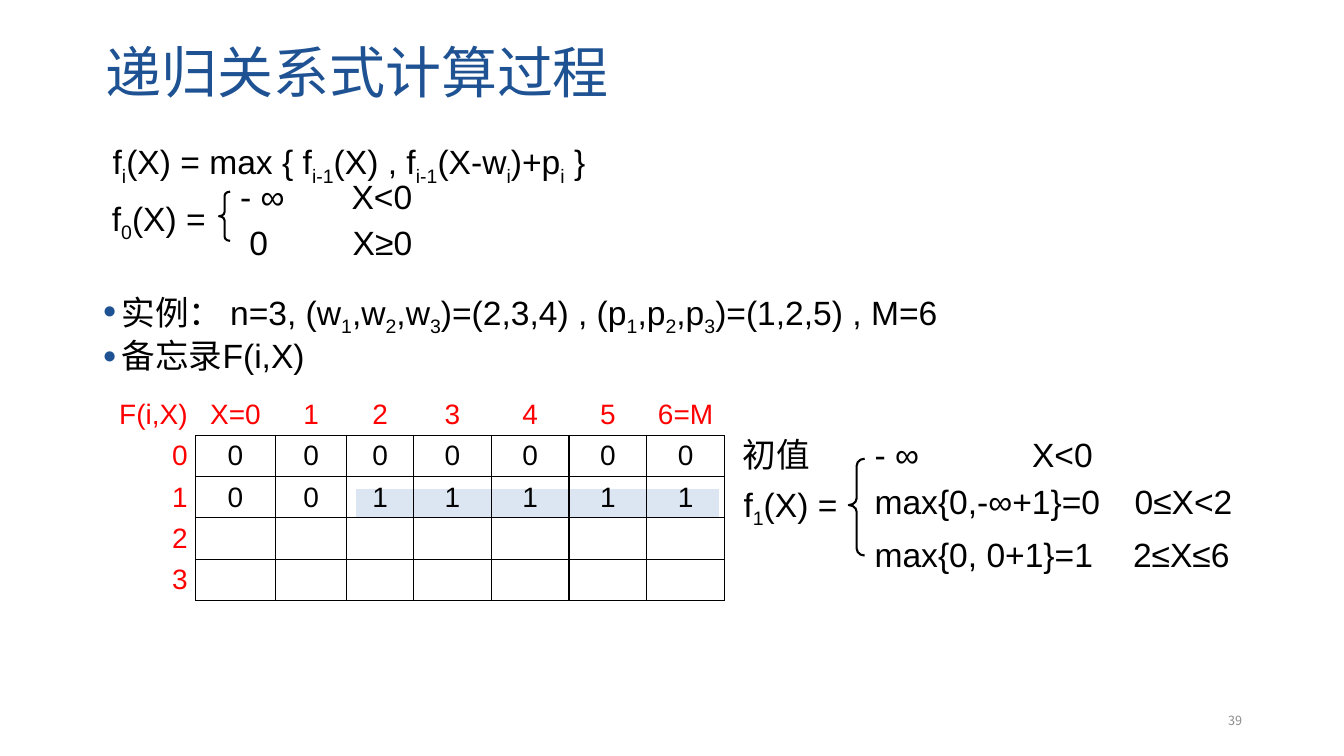
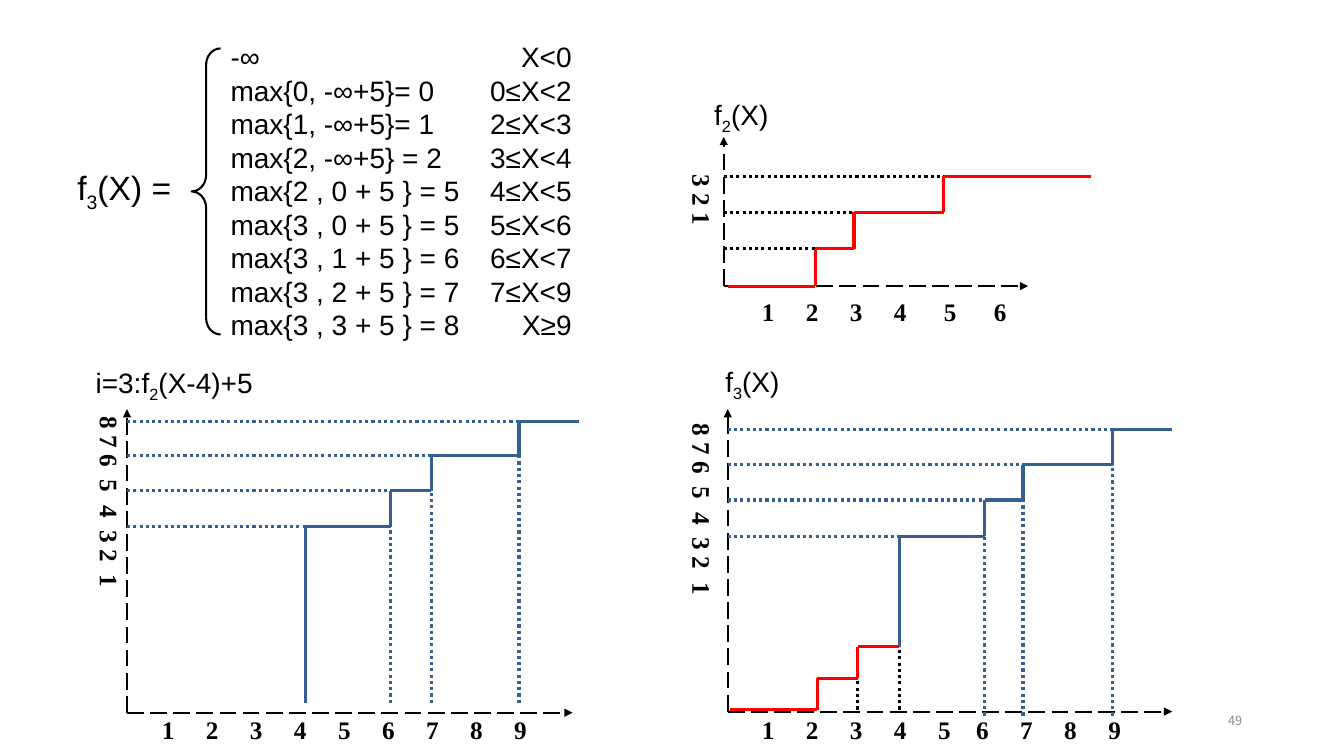
"""Build two slides on the recursive knapsack computation."""
import dataclasses
import itertools

import lxml.etree
import pptx
import pptx.dml.color
import pptx.enum.dml
import pptx.enum.shapes
import pptx.enum.text
import pptx.oxml.ns
import pptx.util

Cm = pptx.util.Cm
Pt = pptx.util.Pt
qn = pptx.oxml.ns.qn
ALIGN = pptx.enum.text.PP_ALIGN
ANCHOR = pptx.enum.text.MSO_ANCHOR
DASH = pptx.enum.dml.MSO_LINE
SHAPE = pptx.enum.shapes.MSO_SHAPE


@dataclasses.dataclass(frozen=True)
class Theme:
    """Colours, fonts and type sizes of the deck."""
    ink: str = "000000"
    title: str = "1E5293"
    red: str = "FF0000"
    blue: str = "376092"
    tint: str = "DCE6F2"
    white: str = "FFFFFF"
    grey: str = "8C8C8C"
    latin: str = "Arial"
    cjk: str = "Noto Sans CJK SC"
    serif: str = "Times New Roman"
    title_pt: int = 40
    body_pt: int = 24
    small_pt: int = 20
    tick_pt: int = 18
    number_pt: int = 9


T = Theme()
TICK = {"size": T.tick_pt, "name": T.serif, "bold": True}


def rgb(color):
    """Turn a hex string into a colour."""
    return pptx.dml.color.RGBColor.from_string(color)


def sub(parent, tag, **attrs):
    """Append a DrawingML element."""
    return lxml.etree.SubElement(parent, qn(tag), attrs)


def write(p, text, color=T.ink, size=T.body_pt, name=T.latin, bold=False):
    """Fill a paragraph; the parts between tildes are subscripts."""
    for i, part in enumerate(text.split("~")):
        if not part:
            continue
        r = p.add_run()
        r.text = part
        for key, value in {"size": Pt(size), "name": name, "bold": bold}.items():
            setattr(r.font, key, value)
        r.font.color.rgb = rgb(color)
        rpr = r.font._element
        sub(rpr, "a:ea", typeface=T.cjk)
        if i % 2:
            rpr.set("baseline", "-25000")


def add_text(slide, box, lines, gaps=(), para=None, anchor=ANCHOR.TOP,
             tabs=(), bullet=False, vert=None, **font):
    """Add a text box whose lines share one paragraph format."""
    sp = slide.shapes.add_textbox(*map(Cm, box))
    tf = sp.text_frame
    tf.word_wrap = True
    tf.vertical_anchor = anchor
    if vert:
        tf._txBody.bodyPr.set("vert", vert)
    for i, line in enumerate(lines):
        p = tf.paragraphs[0] if i == 0 else tf.add_paragraph()
        for key, value in (para or {}).items():
            setattr(p, key, value)
        if i and gaps:
            p.space_before = Pt(gaps[i - 1])
        ppr = p._p.get_or_add_pPr()
        if bullet:
            ppr.set("marL", str(Cm(0.48)))
            ppr.set("indent", str(-Cm(0.48)))
            sub(sub(ppr, "a:buClr"), "a:srgbClr", val=T.title)
            sub(ppr, "a:buSzPct", val="70000")
            sub(ppr, "a:buFont", typeface=T.latin)
            sub(ppr, "a:buChar", char="●")
        if tabs:
            stops = sub(ppr, "a:tabLst")
            for pos, algn in tabs[i]:
                sub(stops, "a:tab", pos=str(Cm(pos)), algn=algn)
        write(p, line, **font)
    return sp


def add_line(slide, start, end, color, width=2.25, dash=None, arrow=False):
    """Draw a straight line between two points."""
    sp = slide.shapes.add_connector(
        pptx.enum.shapes.MSO_CONNECTOR.STRAIGHT, *map(Cm, (*start, *end)))
    sp.line.color.rgb = rgb(color)
    for key, value in {"width": Pt(width), "dash_style": dash}.items():
        setattr(sp.line, key, value)
    if arrow:
        sub(sp.line._get_or_add_ln(), "a:tailEnd", type="triangle")
    sub(sp._element.spPr, "a:effectLst")


def add_page_number(slide, number):
    """Put the slide number at the bottom right."""
    add_text(slide, (23.93, 17.65, 7.62, 1.02), [number], anchor=ANCHOR.MIDDLE,
             para={"alignment": ALIGN.RIGHT}, color=T.grey,
             size=T.number_pt, name=T.cjk)


def add_cases(slide, box, name, name_at, brace, adj, rows, stops, gaps,
              size=T.body_pt, spacing=1.0):
    """Write a function defined by cases beside a left brace."""
    x, y, width, height = box
    add_text(slide, (x, y + name_at, 3.3, 1.3), [name])
    bx, by, bw, bh = brace
    sp = slide.shapes.add_shape(SHAPE.LEFT_BRACE, *map(Cm, (x + bx, y + by, bw, bh)))
    sp.shadow.inherit = False
    sp.fill.background()
    sp.line.color.rgb = rgb(T.ink)
    sp.line.width = Pt(1.5)
    for i, value in enumerate(adj):
        sp.adjustments[i] = value
    left = bx + bw
    add_text(slide, (x + left, y, width - left, height),
             ["\t".join(row) for row in rows], gaps=gaps, size=size,
             tabs=[[(stop, "r")] for stop in stops],
             para={"line_spacing": spacing})


def add_memo_table(slide, box, widths, rows):
    """Add the memo table with red headings and a ruled body."""
    gf = slide.shapes.add_table(len(rows), len(widths), *map(Cm, box))
    table = gf.table
    table.first_row = table.horz_banding = False
    for column, width in zip(table.columns, widths):
        column.width = Cm(width)
    for i, row in enumerate(rows):
        table.rows[i].height = Cm(box[3] / len(rows))
        for j, text in enumerate(row):
            cell = table.cell(i, j)
            for key, value in {"margin_left": Cm(0.2), "margin_right": Cm(0.2),
                               "margin_top": Cm(0.08), "margin_bottom": Cm(0.08),
                               "vertical_anchor": ANCHOR.MIDDLE}.items():
                setattr(cell, key, value)
            p = cell.text_frame.paragraphs[0]
            p.alignment = ALIGN.CENTER if j else ALIGN.RIGHT
            write(p, text, T.ink if i and j else T.red, T.small_pt)
            inner = bool(i and j)
            ruled = {"a:lnL": inner, "a:lnR": inner or i > 0,
                     "a:lnT": inner, "a:lnB": inner or j > 0}
            tcpr = cell._tc.get_or_add_tcPr()
            for tag, shown in ruled.items():
                ln = sub(tcpr, tag, w=str(Pt(1)))
                if shown:
                    sub(sub(ln, "a:solidFill"), "a:srgbClr", val=T.ink)
                else:
                    sub(ln, "a:noFill")
            cell.fill.background()


def add_plot(slide, box, title, title_at, x_gaps, x_at, y_labels, y_gaps, y_at, curves):
    """Draw dashed axes, tick labels and step curves with dotted guides."""
    left, top, width, height = box
    base = top + height

    def at(x, y):
        """Map plot coordinates to the slide."""
        return left + x, base - y

    for end in ((width, 0), (0, height)):
        add_line(slide, at(0, 0), at(*end), T.ink, 1.5, DASH.LONG_DASH, True)
    add_text(slide, (left + title_at[0], top + title_at[1], 5, 1.1), [title],
             size=T.small_pt)
    x_labels = [str(n + 1) for n in range(len(x_gaps) + 1)]
    for labels, gaps, place, vert in (
            (x_labels, x_gaps, (left + x_at[0], base + x_at[1], 11.33, 0.9), None),
            (y_labels, y_gaps, (left + y_at[0], top + y_at[1], 1.27, 6.5), "eaVert")):
        stops = [(round(pos, 2), "l") for pos in itertools.accumulate(gaps)]
        add_text(slide, place, ["\t".join(labels)], tabs=[stops], vert=vert, **TICK)
    for curve in curves:
        xs, ys = curve["xs"], curve["ys"]
        for i in curve["rails"]:
            add_line(slide, at(0, ys[i + 1]), at(xs[i], ys[i + 1]),
                     curve["guide"], dash=DASH.ROUND_DOT)
        for i in curve["drops"]:
            add_line(slide, at(xs[i], curve["foot"]), at(xs[i], ys[i]),
                     curve["guide"], dash=DASH.ROUND_DOT)
        corners = [(xs[0], ys[0])]
        for i in range(len(xs) - 1):
            corners += [(xs[i], ys[i + 1]), (xs[i + 1], ys[i + 1])]
        for a, b in zip(corners, corners[1:]):
            if a != b:
                add_line(slide, at(*a), at(*b), curve["color"])


def build_recursion_slide(slide):
    """Build the slide with the recurrence, the example and the memo table."""
    sp = slide.shapes.add_shape(SHAPE.RECTANGLE, *map(Cm, (8.94, 12.29, 9.2, 0.79)))
    sp.shadow.inherit = False
    sp.fill.solid()
    sp.fill.fore_color.rgb = rgb(T.tint)
    sp.line.color.rgb = rgb(T.white)
    sp.line.width = Pt(1.5)
    add_memo_table(
        slide, (2.59, 9.93, 13.6, 5.2),
        [2.34, 2.01, 1.8, 1.68, 1.96, 1.96, 1.96, 1.96],
        [["F(i,X)", "X=0", "1", "2", "3", "4", "5", "6=M"],
         ["0"] * 8,
         ["1", "0", "0"] + ["1"] * 5,
         ["2"] + [""] * 7,
         ["3"] + [""] * 7])
    add_text(slide, (2.41, 0.66, 29.21, 2.46), ["递归关系式计算过程"],
             anchor=ANCHOR.MIDDLE, para={"line_spacing": 0.9},
             color=T.title, size=T.title_pt)
    add_text(slide, (2.59, 3.45, 19.61, 1.2),
             ["f~i~(X) = max { f~i-1~(X) , f~i-1~(X-w~i~)+p~i~ }"],
             para={"line_spacing": 0.9})
    add_cases(slide, (2.57, 4.32, 9.2, 2.4), "f~0~(X) =", 0.53,
              (2.95, 0.51, 0.28, 1.24), (0.381, 0.5),
              [("- ∞", "X<0"), (" 0", "X≥0")], [4.34, 4.34], [3.8])
    add_text(slide, (2.34, 7.24, 28.19, 2.5),
             ["实例： n=3, (w~1~,w~2~,w~3~)=(2,3,4) , (p~1~,p~2~,p~3~)=(1,2,5) , M=6",
              "备忘录F(i,X)"],
             gaps=[4], para={"line_spacing": 0.9}, bullet=True)
    add_text(slide, (18.47, 10.82, 2.6, 1.27), ["初值"], name=T.cjk)
    add_cases(slide, (18.49, 10.82, 13.4, 4), "f~1~(X) =", 1.25,
              (2.9, 0.74, 0.4, 2.44), (0.435, 0.479),
              [("- ∞", "X<0"), ("max{0,-∞+1}=0", "0≤X<2"), ("max{0, 0+1}=1", "2≤X≤6")],
              [5.5, 9.02, 8.95], [4.8, 8.4])


def build_plot_slide(slide):
    """Build the slide with the cases of f3 and three step plots."""
    values = ["-∞", "max{0, -∞+5}= 0", "max{1, -∞+5}= 1", "max{2, -∞+5} = 2",
              "max{2 , 0 + 5 } = 5", "max{3 , 0 + 5 } = 5", "max{3 , 1 + 5 } = 6",
              "max{3 , 2 + 5 } = 7", "max{3 , 3 + 5 } = 8"]
    ranges = ["X<0", "0≤X<2", "2≤X<3", "3≤X<4", "4≤X<5", "5≤X<6", "6≤X<7",
              "7≤X<9", "X≥9"]
    add_cases(slide, (1.7, 1.04, 13.6, 7.7), "f~3~(X) =", 3.05,
              (3.13, 0.18, 0.73, 7.21), (0.562, 0.5),
              list(zip(values, ranges)), [8.6] * 9, [4.7] * 8, T.small_pt, 0.8)
    eight = list("87654321")
    eight_gaps = [0.48, 0.48, 0.64, 0.64, 0.64, 0.48, 0.64]
    add_plot(slide, (18.24, 3.45, 7.67, 3.76), "f~2~(X)", (-0.49, -1.11),
             [1.11] * 3 + [1.26] * 2, (0.71, 0.13),
             list("321"), [0.48] * 2, (-1.3, 0.69),
             [{"xs": [0.1, 2.31, 3.28, 5.54, 9.25], "ys": [0, 0, 0.94, 1.86, 2.77],
               "color": T.red, "guide": T.ink, "rails": (1, 2, 3), "drops": ()}])
    add_plot(slide, (3.2, 10.31, 11.23, 7.65), "i=3:f~2~(X-4)+5", (-1.04, -1.22),
             [1.11] * 8, (0.63, -0.08), eight, eight_gaps, (-1.19, -0.07),
             [{"xs": [4.5, 6.65, 7.67, 9.88, 11.38], "ys": [0.25, 4.7, 5.59, 6.48, 7.34],
               "color": T.blue, "guide": T.blue, "foot": 0.25,
               "rails": range(4), "drops": (1, 2, 3)}])
    add_plot(slide, (18.34, 10.31, 11.2, 7.62), "f~3~(X)", (-0.31, -1.24),
             [1.11] * 4 + [0.96] + [1.11] * 3, (0.61, -0.05),
             eight, eight_gaps, (-1.4, 0.11),
             [{"xs": [4.32, 6.48, 7.44, 9.7, 11.2], "ys": [1.63, 4.42, 5.33, 6.22, 7.11],
               "color": T.blue, "guide": T.blue, "foot": -0.1,
               "rails": range(4), "drops": (1, 2, 3)},
              {"xs": [0.05, 2.26, 3.28, 4.32], "ys": [0.05, 0.05, 0.84, 1.63],
               "color": T.red, "guide": T.ink, "foot": 0.05,
               "rails": (), "drops": (2, 3)}])


def main():
    """Build the deck and save it."""
    prs = pptx.Presentation()
    prs.slide_width, prs.slide_height = Cm(33.87), Cm(19.05)
    for build, number in ((build_recursion_slide, "39"), (build_plot_slide, "49")):
        slide = prs.slides.add_slide(prs.slide_layouts[6])
        build(slide)
        add_page_number(slide, number)
    prs.save("out.pptx")


if __name__ == "__main__":
    main()
